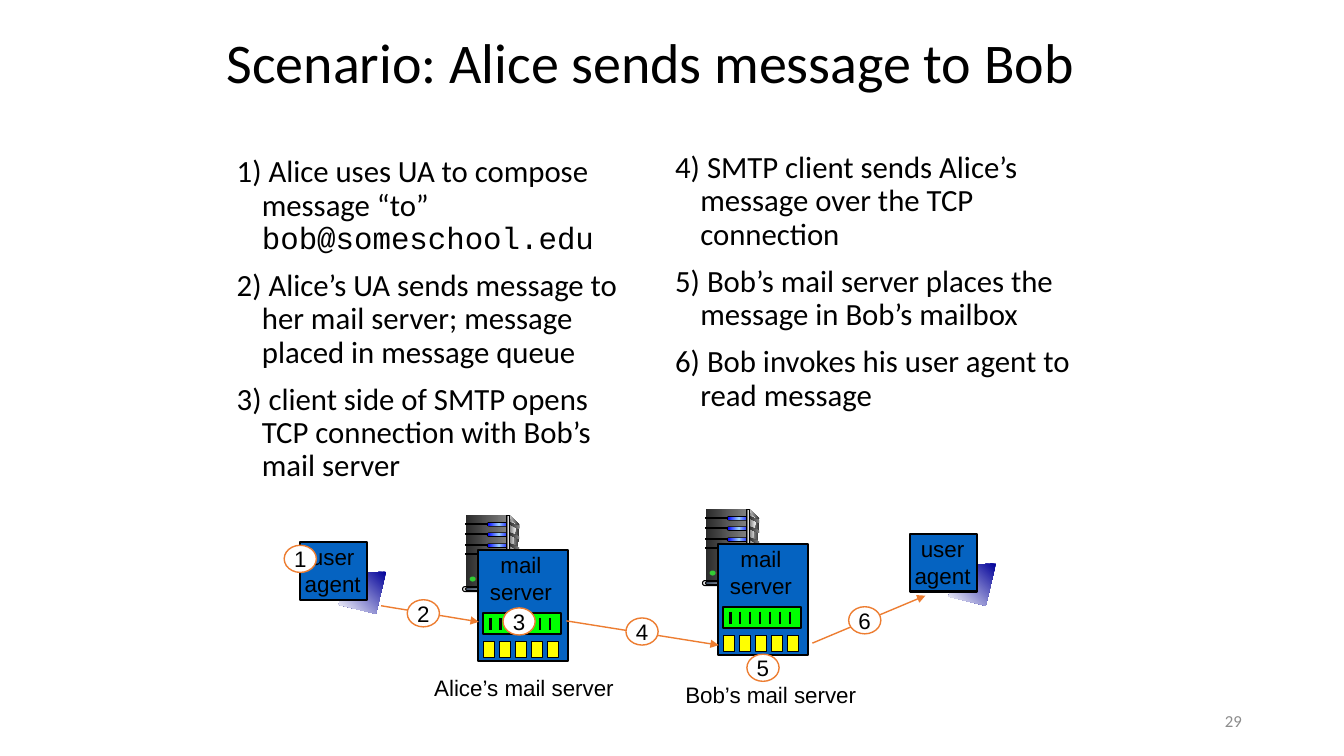
from lxml import etree
from pptx import Presentation
from pptx import util as u
from pptx.dml import color
from pptx.enum import shapes, text
from pptx.oxml import ns

Pt = u.Pt
COLORS = {
    "black": "000000", "white": "FFFFFF", "blue": "0563C1", "orange": "ED7D31",
    "green": "00FF00", "yellow": "FFFF00", "number": "8C8C8C", "base": "DDDDDD",
    "ready": "33CC33", "alert": "FF0000",
}
GRADIENTS = {
    "screen": ["000099", "FFFFFF"], "side": ["DDDDDD", "333333"],
    "front": ["292929", "808080"], "inner": ["808080", "F8F8F8"],
    "glow": ["0000FF", "99CCFF", "0000FF"], "edge": ["333333", "DDDDDD", "333333"],
    "foot": ["44546A", "E7E6E6"],
}
TITLE = "Scenario: Alice sends message to Bob"
STEPS = [
    ((162, 108, 300, 253.4), [
        [("1) Alice uses UA to compose message “to” ", "Calibri"),
         ("bob@someschool.edu", "Courier New")],
        [("2) Alice’s UA sends message to her mail server; message placed in message queue", "Calibri")],
        [("3) client side of SMTP opens TCP connection with Bob’s mail server", "Calibri")],
    ]),
    ((475.2, 105.1, 300, 257), [
        [("4) SMTP client sends Alice’s message over the TCP connection", "Calibri")],
        [("5) Bob’s mail server places the message in Bob’s mailbox", "Calibri")],
        [("6) Bob invokes his user agent to read message", "Calibri")],
    ]),
]
USER_AGENTS = [(214.6, 387.4), (650.2, 381.6)]
MAIL_SERVERS = [(332.6, 367.9), (504, 363.6)]
SERVER_NAMES = [("Alice’s mail server", (303.1, 478.1, 149, 26.6)),
                ("Bob’s mail server", (482.4, 483.1, 142.6, 26.6))]
ARROWS = [((272.2, 432.7), (342, 444.2)), ((404.6, 443.5), (513.4, 460.8)),
          ((580.3, 459.4), (661, 425.5))]
STEP_MARKS = [(203, 389.5), (290.9, 428.4), (359.3, 434.2),
              (447.1, 441.4), (533.5, 467.3), (606.2, 433.4)]

deck = Presentation()
deck.slide_width, deck.slide_height = Pt(960), Pt(540)
page = deck.slides.add_slide(deck.slide_layouts[6])


def rgb(name):
    return color.RGBColor.from_string(COLORS[name])


def paint(shape, fill, line=None, width=0.75, angle=0):
    shape.shadow.inherit = False
    if fill in GRADIENTS:
        shape.fill.gradient()
        shape.fill.gradient_angle = angle
        stops = shape._element.spPr.find(".//" + ns.qn("a:gsLst"))
        for stop in list(stops):
            stops.remove(stop)
        tones = GRADIENTS[fill]
        for index, tone in enumerate(tones):
            stop = etree.SubElement(stops, ns.qn("a:gs"), pos=str(100000 * index // (len(tones) - 1)))
            etree.SubElement(stop, ns.qn("a:srgbClr"), val=tone)
    else:
        shape.fill.solid()
        shape.fill.fore_color.rgb = rgb(fill)
    if line:
        shape.line.color.rgb = rgb(line)
        shape.line.width = Pt(width)
    else:
        shape.line.fill.background()


def add_block(parent, kind, place, fill, line=None, width=0.75):
    shape = parent.add_shape(kind, *map(Pt, place))
    if kind == shapes.MSO_SHAPE.ROUNDED_RECTANGLE:
        shape.adjustments[0] = 0.5
    paint(shape, fill, line, width)
    return shape


def add_outline(parent, x, y, points, fill, angle=0):
    corners = [(Pt(x + dx), Pt(y + dy)) for dx, dy in points]
    builder = parent.build_freeform(*corners[0])
    builder.add_line_segments(corners[1:], close=True)
    paint(builder.convert_to_shape(), fill, angle=angle)


def add_line(parent, start, end, name, width, arrow=False):
    line = parent.add_connector(shapes.MSO_CONNECTOR.STRAIGHT, *map(Pt, start + end))
    line.line.color.rgb = rgb(name)
    line.line.width = Pt(width)
    if arrow:
        etree.SubElement(line.line._get_or_add_ln(), ns.qn("a:tailEnd"), type="triangle")
    etree.SubElement(line._element.spPr, ns.qn("a:effectLst"))


def write(shape, paras, size, align=text.PP_ALIGN.LEFT, middle=False, wrap=True,
          spacing=1.0, before=0, hang=0, ink="black"):
    frame = shape.text_frame
    frame.word_wrap = wrap
    frame.vertical_anchor = text.MSO_ANCHOR.MIDDLE if middle else text.MSO_ANCHOR.TOP
    for index, spans in enumerate(paras):
        para = frame.add_paragraph() if index else frame.paragraphs[0]
        para.alignment = align
        para.line_spacing = spacing
        para.space_before = Pt(before if index else 0)
        if hang:
            properties = para._p.get_or_add_pPr()
            properties.set("marL", str(Pt(hang)))
            properties.set("indent", str(-Pt(hang)))
        for words, font in spans:
            span = para.add_run()
            span.text = words
            span.font.name = font
            span.font.size = Pt(size)
            span.font.color.rgb = rgb(ink)


def add_label(parent, place, lines, align=text.PP_ALIGN.CENTER):
    box = parent.add_textbox(*map(Pt, place))
    write(box, [[(line, "Arial")] for line in lines], 16, align, wrap=False)


def add_user_agent(x, y):
    group = page.shapes.add_group_shape().shapes
    add_outline(group, x, y, [(61.2, 20.9), (32.4, 22.3), (27.4, 44.6), (54, 51.1)], "screen", 225)
    add_block(group, RECT, (x, y, 47.5, 41), "blue", "black", 1.5)
    add_label(group, (x - 4.3, y - 2.9, 54.7, 46), ["user", "agent"])


def add_tower(x, y):
    group = page.shapes.add_group_shape().shapes
    add_outline(group, x, y, [(31.7, 0), (38.2, 6.5), (37.4, 49.7), (30.2, 51.8)], "side")
    add_block(group, RECT, (x, y, 29.5, 51.8), "front")
    add_outline(group, x, y, [(31.7, 2.9), (36, 7.2), (32.4, 30), (31.7, 50.4)], "inner")
    for slot in (5.8, 13, 20.9, 27.4):
        add_block(group, RECT, (x, y + slot, 16.6, 1), "black", "black")
    for bay in (5, 12.4, 20.2):
        add_block(group, PILL, (x + 15.1, y + bay, 16.6, 3.2), "black")
        add_block(group, PILL, (x + 15.8, y + bay + 0.6, 15.8, 2.1), "glow")
        add_outline(group, x, y + bay, [(31, 0), (38.2, 2.9), (38.2, 5), (31, 1.5)], "front")
    add_block(group, RECT, (x + 29.5, y, 2.2, 51.8), "edge", "black")
    add_block(group, PILL, (x - 2.2, y + 51.1, 33.8, 3.6), "base", "black")
    add_block(group, PILL, (x, y + 51.8, 30.2, 2.2), "foot", "black")
    for dx, lamp in ((2.9, "ready"), (7.9, "alert")):
        add_block(group, OVAL, (x + dx, y + 43.9, 4.3, 3.6), lamp)


def add_mail_box(x, y):
    group = page.shapes.add_group_shape().shapes
    add_block(group, RECT, (x, y, 64.1, 79.2), "blue", "black", 1.5)
    add_label(group, (x + 1, y - 2.9, 59, 46), ["mail", "server"])
    add_block(group, RECT, (x + 3.2, y + 44.6, 56.2, 15.1), "green", "black", 1.5)
    for index in range(7):
        tick = x + 8.8 + 7.1 * index
        add_line(group, (tick, y + 48.2), (tick, y + 56.9), "black", 1.5)
    for index in range(5):
        add_block(group, RECT, (x + 3.6 + 11.5 * index, y + 65.3, 7.9, 11.5), "yellow", "black")


RECT = shapes.MSO_SHAPE.RECTANGLE
PILL = shapes.MSO_SHAPE.ROUNDED_RECTANGLE
OVAL = shapes.MSO_SHAPE.OVAL

title = page.shapes.add_textbox(Pt(154.8), Pt(1.4), Pt(648.7), Pt(90))
write(title, [[(TITLE, "Calibri")]], 40, middle=True, spacing=0.9)
for place, paras in STEPS:
    box = page.shapes.add_textbox(*map(Pt, place))
    write(box, paras, 22, spacing=0.9, before=10, hang=18)
for x, y in USER_AGENTS:
    add_user_agent(x, y)
for x, y in MAIL_SERVERS:
    add_tower(x, y)
    add_mail_box(x + 9, y + 25.2)
for start, end in ARROWS:
    add_line(page.shapes, start, end, "orange", 1, arrow=True)
for number, (x, y) in enumerate(STEP_MARKS, 1):
    mark = add_block(page.shapes, OVAL, (x, y, 23, 19.4), "white", "orange", 1)
    write(mark, [[(str(number), "Arial")]], 16, text.PP_ALIGN.CENTER, middle=True, wrap=False)
for name, place in SERVER_NAMES:
    add_label(page.shapes, place, [name], text.PP_ALIGN.LEFT)
page_number = page.shapes.add_textbox(Pt(678.2), Pt(500.4), Pt(216), Pt(28.8))
write(page_number, [[("29", "Calibri")]], 12, text.PP_ALIGN.RIGHT, middle=True, ink="number")

deck.save("out.pptx")
